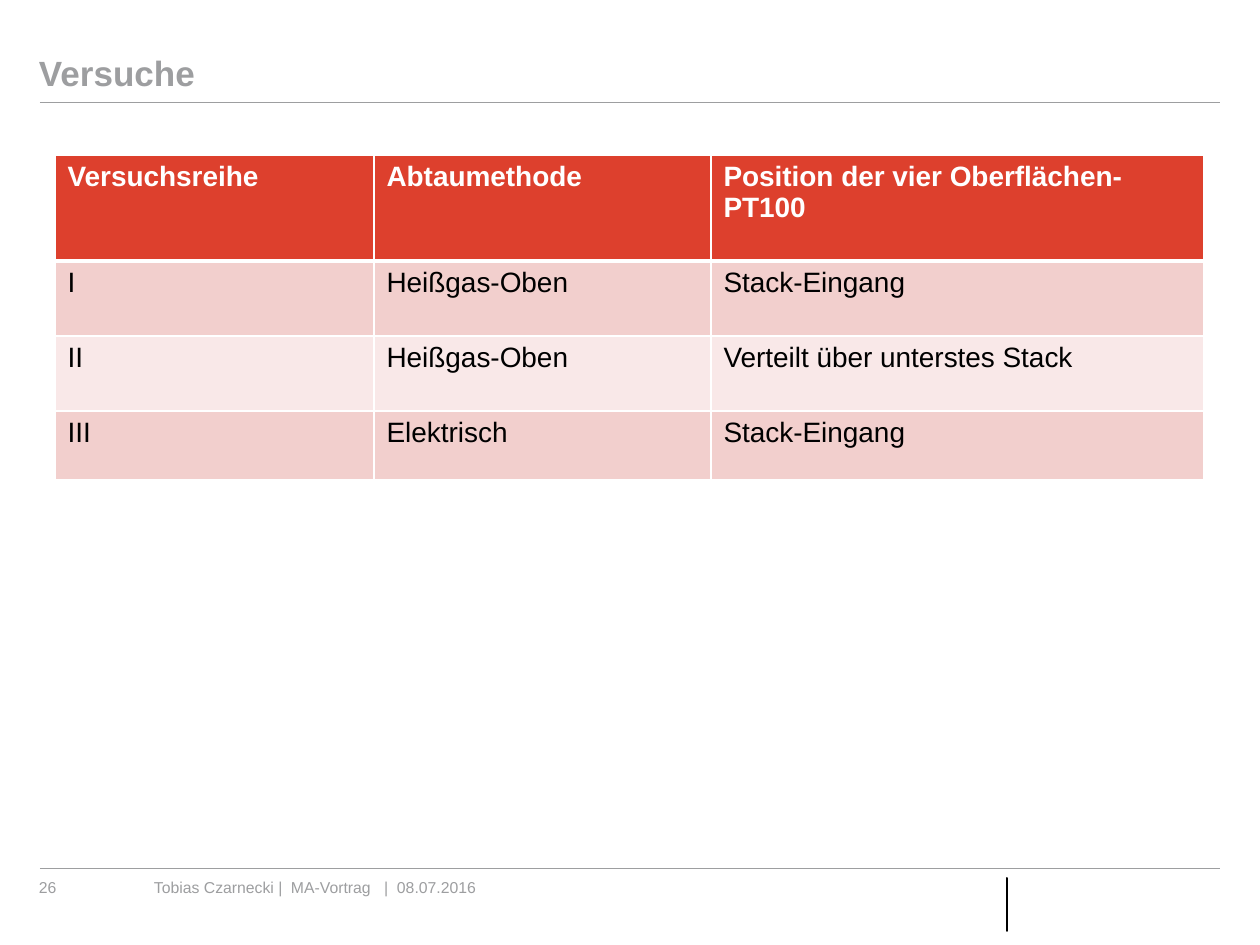
import pptx
import pptx.util
import pptx.dml.color
import pptx.enum.shapes
import pptx.enum.text
import pptx.oxml
import pptx.oxml.ns
from dataclasses import dataclass

PX = 914400 / 126


@dataclass(frozen=True)
class Theme:
    font: str = "Arial"
    grey: str = "9D9EA0"
    black: str = "000000"
    white: str = "FFFFFF"
    header: str = "DD402D"
    bands: tuple = ("F2CFCD", "F9E8E8")
    title_size: int = 20
    table_size: int = 16
    footer_size: int = 9


theme = Theme()
rgb = pptx.dml.color.RGBColor.from_string


def px(*lengths):
    return [pptx.util.Emu(round(n * PX)) for n in lengths]


def add_run(p, text, size, color, bold=False):
    r = p.add_run()
    r.text = text
    r.font.name = theme.font
    r.font.size = pptx.util.Pt(size)
    r.font.bold = bold
    r.font.color.rgb = rgb(color)


prs = pptx.Presentation()
prs.slide_width, prs.slide_height = px(1260, 945)
s = prs.slides.add_slide(prs.slide_layouts[5])

# Rules under the title and above the footer
for y in (102, 868):
    x1, x2, y1 = px(40, 1220, y)
    rule = s.shapes.add_connector(
        pptx.enum.shapes.MSO_CONNECTOR.STRAIGHT, x1, y1, x2, y1)
    rule.line.color.rgb = rgb(theme.grey)
    rule.line.width = pptx.util.Pt(0.5)
    rule._element.spPr.append(pptx.oxml.parse_xml(
        f"<a:effectLst {pptx.oxml.ns.nsdecls('a')}/>"))

# Footer: slide number and author line, parts set on tab stops
footer = [
    ("26", (39, 878, 91, 19), ()),
    ("Tobias Czarnecki |\tMA-Vortrag\t|\t08.07.2016",
     (154, 878, 372, 59), (137, 230, 243)),
]
for text, box, stops in footer:
    tf = s.shapes.add_textbox(*px(*box)).text_frame
    tf.word_wrap = True
    tf.margin_left = tf.margin_top = tf.margin_right = tf.margin_bottom = 0
    p = tf.paragraphs[0]
    if stops:
        tabs = "".join(f'<a:tab pos="{n}" algn="l"/>' for n in px(*stops))
        p._p.get_or_add_pPr().append(pptx.oxml.parse_xml(
            f"<a:tabLst {pptx.oxml.ns.nsdecls('a')}>{tabs}</a:tabLst>"))
    add_run(p, text, theme.footer_size, theme.grey)

footer_bar = s.shapes.add_shape(
    pptx.enum.shapes.MSO_SHAPE.RECTANGLE, *px(1007, 878, 0, 53))
footer_bar.shadow.inherit = False
footer_bar.fill.solid()
footer_bar.fill.fore_color.rgb = rgb(theme.black)
footer_bar.line.color.rgb = rgb(theme.black)
footer_bar.line.width = pptx.util.Pt(0.75)

# Title
title = s.shapes.title
title.left, title.top, title.width, title.height = px(39, 20, 1181, 74)
tf = title.text_frame
tf.word_wrap = True
tf.auto_size = pptx.enum.text.MSO_AUTO_SIZE.NONE
tf.vertical_anchor = pptx.enum.text.MSO_ANCHOR.BOTTOM
tf.margin_left = tf.margin_top = tf.margin_right = tf.margin_bottom = 0
p = tf.paragraphs[0]
p.alignment = pptx.enum.text.PP_ALIGN.LEFT
p.line_spacing = 0.9
add_run(p, "Versuche", theme.title_size, theme.grey, bold=True)

# Table of test series
rows = [
    ("Versuchsreihe", "Abtaumethode", "Position der vier Oberflächen-PT100"),
    ("I", "Heißgas-Oben", "Stack-Eingang"),
    ("II", "Heißgas-Oben", "Verteilt über unterstes Stack"),
    ("III", "Elektrisch", "Stack-Eingang"),
]
col_widths = px(319, 337, 493)
row_heights = px(106, 75, 75, 69)
table = s.shapes.add_table(
    len(rows), len(col_widths), *px(55, 155, 1149, 325)).table
for col, width in zip(table.columns, col_widths):
    col.width = width
for row, height in zip(table.rows, row_heights):
    row.height = height

for i, texts in enumerate(rows):
    is_header = i == 0
    fill = theme.header if is_header else theme.bands[(i - 1) % 2]
    color = theme.white if is_header else theme.black
    borders = {"L": 1, "R": 1, "T": 3 if i == 1 else 1, "B": 3 if is_header else 1}
    for j, text in enumerate(texts):
        cell = table.cell(i, j)
        tcPr = cell._tc.get_or_add_tcPr()
        for side, width in borders.items():
            tcPr.append(pptx.oxml.parse_xml(
                f'<a:ln{side} {pptx.oxml.ns.nsdecls("a")} w="{pptx.util.Pt(width)}">'
                f'<a:solidFill><a:srgbClr val="{theme.white}"/></a:solidFill>'
                f"</a:ln{side}>"))
        cell.fill.solid()
        cell.fill.fore_color.rgb = rgb(fill)
        add_run(cell.text_frame.paragraphs[0], text,
                theme.table_size, color, bold=is_header)

prs.save("out.pptx")
